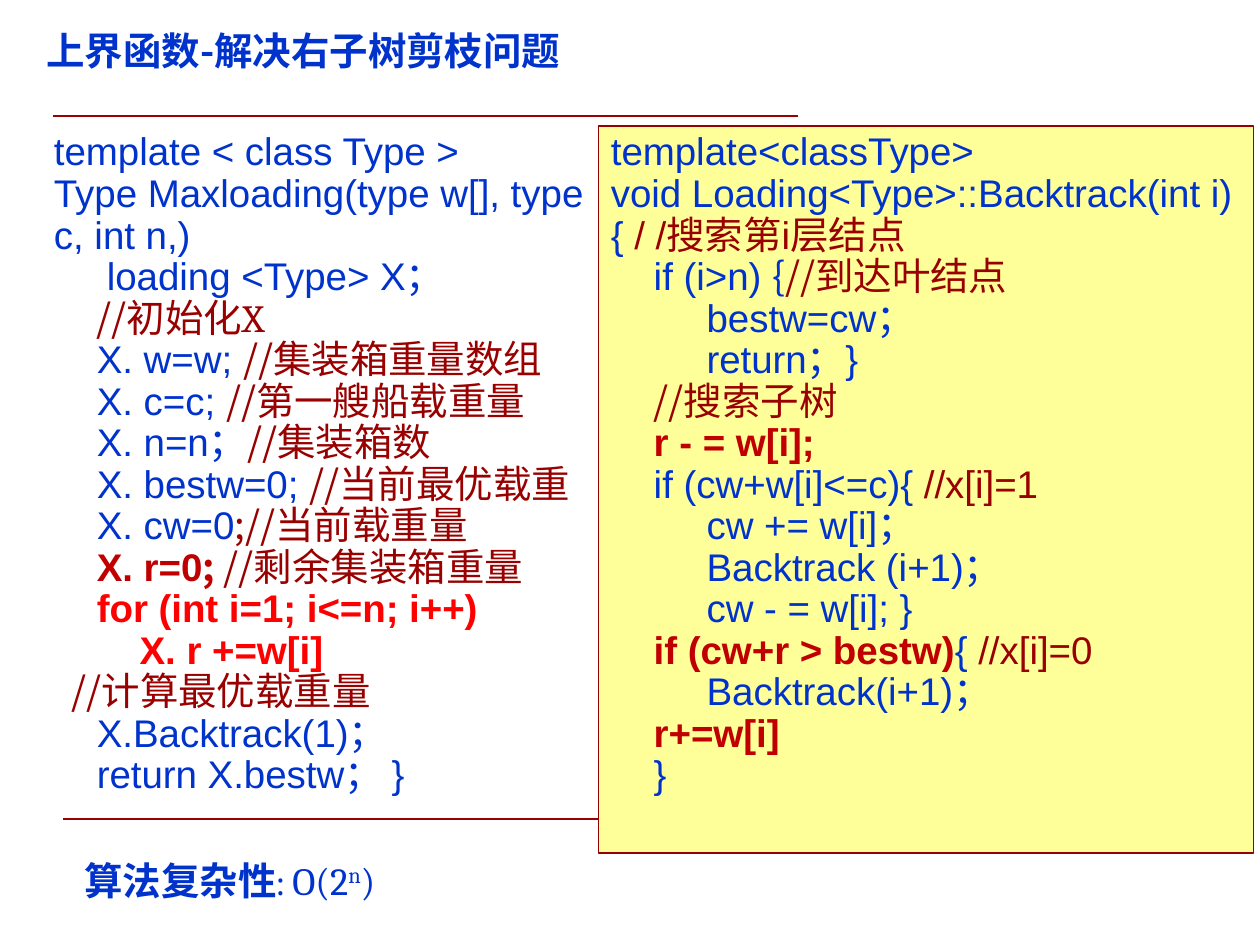
from pptx import Presentation
from pptx.dml.color import RGBColor
from pptx.enum.shapes import MSO_CONNECTOR, MSO_SHAPE
from pptx.enum.text import MSO_ANCHOR, PP_ALIGN
from pptx.oxml.ns import qn
from pptx.util import Inches, Pt
from lxml.etree import SubElement

COLORS = {"blue": "0033CC", "maroon": "990000", "crimson": "C00000",
          "red": "FF0000", "yellow": "FFFF99"}
ARIAL, CAMBRIA, CHINESE = "Arial", "Cambria", "Noto Sans CJK SC"
SIZE = 22
CODE_SPACING, TITLE_SPACING = 23.73, 26.3

# style: font, colour, bold
STYLES = {
    "code": (ARIAL, "blue", False),
    "code_note": (ARIAL, "maroon", False),
    "key": (ARIAL, "crimson", True),
    "loop": (ARIAL, "red", True),
    "brace": (CHINESE, "blue", False),
    "note": (CHINESE, "maroon", False),
    "note_latin": (CAMBRIA, "maroon", False),
    "key_mark": (CHINESE, "crimson", True),
    "heading": (CHINESE, "blue", True),
    "formula": (CAMBRIA, "blue", False),
}

# each line: indent in inches, then (text, style) runs
MAXLOADING = [
    (0, ("template < class Type >", "code")),
    (0, ("Type Maxloading(type w[], type c, int n,)", "code")),
    (0.42, ("loading <Type> X；", "code")),
    (0.34, ("//初始化", "note"), ("X", "note_latin")),
    (0.34, ("X. w=w; ", "code"), ("//集装箱重量数组", "note")),
    (0.34, ("X. c=c; ", "code"), ("//第一艘船载重量", "note")),
    (0.34, ("X. n=n；", "code"), ("//集装箱数", "note")),
    (0.34, ("X. bestw=0; ", "code"), ("//当前最优载重", "note")),
    (0.34, ("X. cw=0", "code"), (";//当前载重量", "note")),
    (0.34, ("X. r=0", "key"), ("; ", "key_mark"), ("//剩余集装箱重量", "note")),
    (0.34, ("for (int i=1; i<=n; i++)", "loop")),
    (0.68, ("X. r +=w[i]", "loop")),
    (0.14, ("//计算最优载重量", "note")),
    (0.34, ("X.Backtrack(1)；", "code")),
    (0.34, ("return X.bestw； }", "code")),
]
BACKTRACK = [
    (0, ("template<classType>", "code")),
    (0, ("void Loading<Type>::Backtrack(int i)", "code")),
    (0, ("{ ", "code"), ("/ /搜索第i层结点", "code_note")),
    (0.34, ("if (i>n) ", "code"), ("{", "brace"), ("//到达叶结点", "note")),
    (0.76, ("bestw=cw；", "code")),
    (0.76, ("return；}", "code")),
    (0.34, ("//搜索子树", "note")),
    (0.34, ("r - = w[i];", "key")),
    (0.34, ("if (cw+w[i]<=c){ ", "code"), ("//x[i]=1", "code_note")),
    (0.76, ("cw += w[i]；", "code")),
    (0.76, ("Backtrack (i+1)；", "code")),
    (0.76, ("cw - = w[i]; }", "code")),
    (0.34, ("if (cw+r > bestw)", "key"), ("{ ", "code"), ("//x[i]=0", "code_note")),
    (0.76, ("Backtrack(i+1)；", "code")),
    (0.34, ("r+=w[i]", "key")),
    (0.34, ("}", "code")),
]
TITLE = [(0, ("上界函数-解决右子树剪枝问题", "heading"))]
COMPLEXITY = [(0, ("算法复杂性", "heading"), (": ", "brace"),
               ("O(2", "formula"), ("n", "formula"), (")", "formula"))]
RULES = [(0.5, 6.42, 6.5), (0.42, 6.33, 0.92)]  # left, right, y


def color(name):
    return RGBColor.from_string(COLORS[name])


def style_run(run, style):
    name, color_name, bold = STYLES[style]
    font = run.font
    font.name, font.size, font.bold = name, Pt(SIZE), bold
    font.color.rgb = color(color_name)
    SubElement(run.font._element, qn("a:ea")).set("typeface", CHINESE)


def write_lines(shape, lines, spacing=None, wrap=True):
    frame = shape.text_frame
    frame.word_wrap = wrap
    frame.vertical_anchor = MSO_ANCHOR.TOP
    for index, (indent, *runs) in enumerate(lines):
        paragraph = frame.paragraphs[0] if index == 0 else frame.add_paragraph()
        paragraph.alignment = PP_ALIGN.LEFT
        if spacing:
            paragraph.line_spacing = Pt(spacing)
        if indent:
            paragraph._p.get_or_add_pPr().set("marL", str(Inches(indent)))
        for text, style in runs:
            run = paragraph.add_run()
            run.text = text
            style_run(run, style)


def add_text(slide, box, lines, **options):
    shape = slide.shapes.add_textbox(*map(Inches, box))
    write_lines(shape, lines, **options)
    return shape


def add_rule(slide, left, right, y):
    rule = slide.shapes.add_connector(
        MSO_CONNECTOR.STRAIGHT, Inches(left), Inches(y), Inches(right), Inches(y))
    rule.line.color.rgb = color("maroon")
    rule.line.width = Pt(0.75)
    SubElement(rule._element.spPr, qn("a:effectLst"))


def add_panel(slide, box, lines):
    panel = slide.shapes.add_shape(MSO_SHAPE.RECTANGLE, *map(Inches, box))
    panel.shadow.inherit = False
    panel.fill.solid()
    panel.fill.fore_color.rgb = color("yellow")
    panel.line.color.rgb = color("maroon")
    panel.line.width = Pt(0.75)
    write_lines(panel, lines, spacing=CODE_SPACING, wrap=False)


def main():
    presentation = Presentation()
    presentation.slide_width, presentation.slide_height = Inches(10), Inches(7.5)
    slide = presentation.slides.add_slide(presentation.slide_layouts[6])

    bottom_rule, title_rule = RULES
    add_rule(slide, *bottom_rule)
    add_panel(slide, (4.75, 1, 5.2, 5.77), BACKTRACK)
    add_text(slide, (0.33, 1, 4.5, 5.43), MAXLOADING, spacing=CODE_SPACING)
    add_text(slide, (0.27, 0.17, 4.39, 0.47), TITLE, spacing=TITLE_SPACING)
    add_rule(slide, *title_rule)

    complexity = add_text(slide, (0.4, 6.75, 2.85, 0.47), COMPLEXITY, wrap=False)
    complexity.text_frame.vertical_anchor = MSO_ANCHOR.MIDDLE
    paragraph = complexity.text_frame.paragraphs[0]
    paragraph.alignment = PP_ALIGN.CENTER
    paragraph.runs[1].font.size = Pt(18)
    paragraph.runs[3].font._element.set("baseline", "30000")

    presentation.save("out.pptx")


if __name__ == "__main__":
    main()
